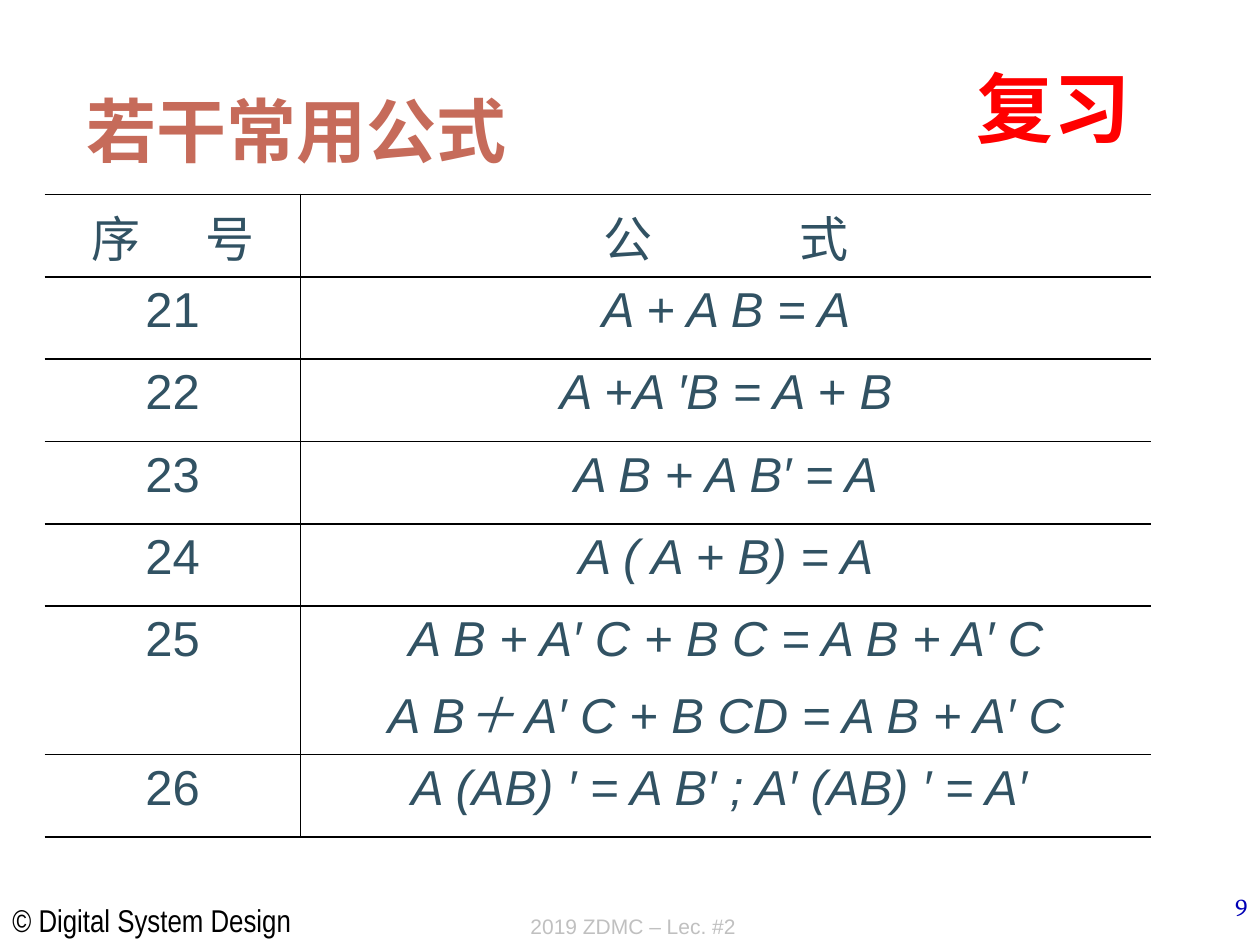
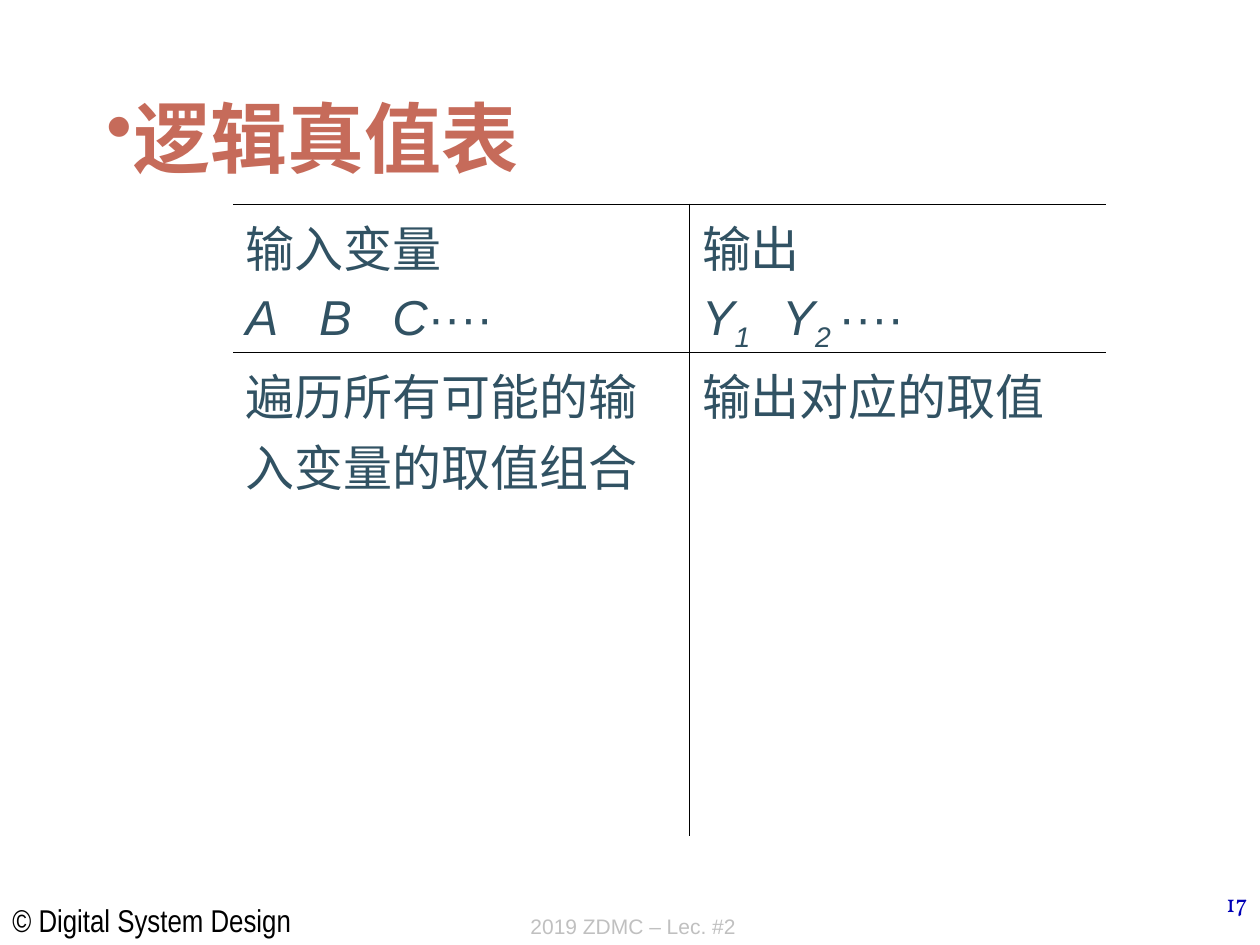
import pptx
import pptx.dml.color
import pptx.enum.text
import pptx.oxml.ns
import pptx.util
from lxml import etree

Cm = pptx.util.Cm
Pt = pptx.util.Pt
ALIGN = pptx.enum.text.PP_ALIGN
ANCHOR = pptx.enum.text.MSO_ANCHOR
qn = pptx.oxml.ns.qn

BLACK = "000000"
SLATE = "315263"
TERRACOTTA = "C66B5A"
RED = "FF0000"
NAVY = "0000B6"
SILVER = "C0C0C0"

FORMULAS = [
    ("21", ["A + A B = A"]),
    ("22", ["A +A ′B = A + B"]),
    ("23", ["A B + A B′ = A"]),
    ("24", ["A ( A + B) = A"]),
    ("25", ["A B + A′ C + B C = A B + A′ C",
            "A B＋ A′ C + B CD = A B + A′ C"]),
    ("26", ["A (AB) ′ = A B′ ; A′ (AB) ′ = A′ "]),
]


def rgb(color):
    return pptx.dml.color.RGBColor.from_string(color)


def add_run(p, text, size=28, font="Arial", color=SLATE, bold=False,
            italic=False, baseline=0, spacing=0):
    r = p.add_run()
    r.text = text
    r.font.size = Pt(size)
    r.font.name = font
    r.font.color.rgb = rgb(color)
    r.font.bold = bold
    r.font.italic = italic
    props = r.font._element
    if baseline:
        props.set("baseline", str(baseline * 1000))
    if spacing:
        props.set("spc", str(round(spacing * 100)))


def add_text(slide, box, text, align=ALIGN.LEFT, anchor=ANCHOR.TOP,
             wrap=True, bullet=None, **fmt):
    tf = slide.shapes.add_textbox(*(Cm(v) for v in box)).text_frame
    tf.word_wrap = wrap
    tf.vertical_anchor = anchor
    p = tf.paragraphs[0]
    p.alignment = align
    if bullet:
        pPr = p._p.get_or_add_pPr()
        etree.SubElement(pPr, qn("a:buChar")).set("char", bullet)
    add_run(p, text, **fmt)


def add_title(slide, box, text, size, bullet=None):
    add_text(slide, box, text, anchor=ANCHOR.BOTTOM, bullet=bullet, size=size,
             font="Arial Narrow", color=TERRACOTTA, bold=True)


def add_footer(slide, number):
    add_text(slide, (0, 18.03, 6.15, 1.02), "© Digital System Design",
             wrap=False, size=18, font="Arial Narrow", color=BLACK)
    add_text(slide, (20.12, 17.78, 5.28, 1.27), number, align=ALIGN.RIGHT,
             size=14, font="Vollkorn", color=NAVY)
    add_text(slide, (6.58, 17.75, 12.37, 1.3), "2019 ZDMC – Lec. #2",
             align=ALIGN.CENTER, anchor=ANCHOR.BOTTOM, size=12, color=SILVER)


def set_borders(cell, edges):
    tcPr = cell._tc.get_or_add_tcPr()
    for i, (side, visible) in enumerate(edges.items()):
        ln = etree.Element(qn("a:ln" + side), w=str(Pt(1)))
        if visible:
            fill = etree.SubElement(ln, qn("a:solidFill"))
            etree.SubElement(fill, qn("a:srgbClr")).set("val", BLACK)
        else:
            etree.SubElement(ln, qn("a:noFill"))
        tcPr.insert(i, ln)


def fill_cell(cell, paragraphs, align):
    cell.fill.background()
    tf = cell.text_frame
    for i, runs in enumerate(paragraphs):
        p = tf.add_paragraph() if i else tf.paragraphs[0]
        p.alignment = align
        before = etree.SubElement(p._p.get_or_add_pPr(), qn("a:spcBef"))
        etree.SubElement(before, qn("a:spcPct")).set("val", "20000")
        for text, fmt in runs:
            add_run(p, text, **fmt)


def add_grid(slide, left, top, widths, heights, rows, align, closed):
    table = slide.shapes.add_table(
        len(heights), len(widths), Cm(left), Cm(top),
        Cm(sum(widths)), Cm(sum(heights))).table
    table.first_row = table.horz_banding = False
    for column, width in zip(table.columns, widths):
        column.width = Cm(width)
    for row, height in zip(table.rows, heights):
        row.height = Cm(height)
    for y, row in enumerate(rows):
        for x, paragraphs in enumerate(row):
            cell = table.cell(y, x)
            fill_cell(cell, paragraphs, align)
            set_borders(cell, {"L": x > 0, "R": x < len(widths) - 1, "T": True,
                               "B": closed or y < len(heights) - 1})


def plain(text):
    return text, {}


def italic(text, **fmt):
    return text, dict(fmt, italic=True)


def gap(points):
    return " ", {"spacing": points}


def build_formulas(prs):
    slide = prs.slides.add_slide(prs.slide_layouts[6])
    add_footer(slide, "9")
    add_title(slide, (1.5, 1.12, 22.86, 2.46), "若干常用公式", 40)
    rows = [([[plain("序"), gap(31), plain("号")]],
             [[plain("公"), gap(78), plain("式")]])]
    rows += [([[plain(number)]], [[italic(line)] for line in lines])
             for number, lines in FORMULAS]
    heights = [2.99 if len(right) > 1 else 1.66 for left, right in rows]
    add_grid(slide, 0.9, 3.92, (5.16, 17.15), heights, rows,
             ALIGN.CENTER, closed=True)
    add_text(slide, (19.43, 1.09, 3.66, 2.13), "复习", wrap=False,
             size=44, color=RED, bold=True)


def build_truth_table(prs):
    slide = prs.slides.add_slide(prs.slide_layouts[6])
    add_footer(slide, "17")
    add_title(slide, (1.9, 0.64, 21.6, 3.17), "逻辑真值表", 44, bullet="•")
    dots = plain("····")
    inputs = [italic("A"), gap(15.5), italic("B"), gap(15.5), italic("C"), dots]
    outputs = [italic("Y"), italic("1", baseline=-25), gap(10.5),
               italic("Y"), italic("2 ", baseline=-25), dots]
    rows = [([[plain("输入变量")], inputs], [[plain("输出")], outputs]),
            ([[plain("遍历所有可能的输入变量的取值组合")]],
             [[plain("输出对应的取值")]])]
    add_grid(slide, 4.7, 4.12, (9.2, 8.4), (2.87, 9.75), rows,
             ALIGN.LEFT, closed=False)


def main():
    prs = pptx.Presentation()
    prs.slide_width = Cm(25.4)
    prs.slide_height = Cm(19.05)
    build_formulas(prs)
    build_truth_table(prs)
    prs.save("out.pptx")


if __name__ == "__main__":
    main()
